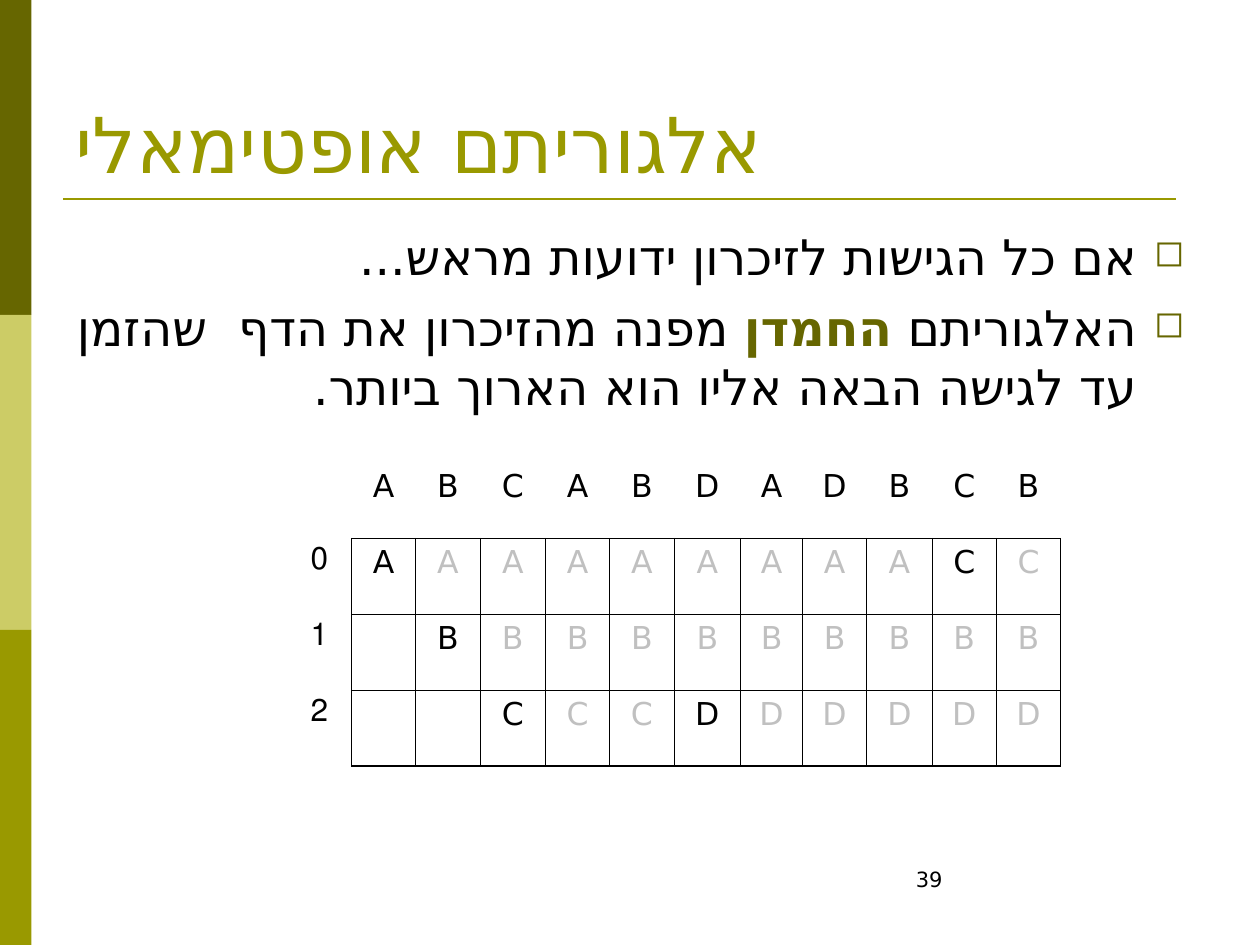
from dataclasses import dataclass

from lxml.etree import SubElement
from pptx import Presentation
from pptx.dml.color import RGBColor
from pptx.enum.shapes import MSO_CONNECTOR as Connector, MSO_SHAPE as Preset
from pptx.enum.text import MSO_ANCHOR as Anchor, PP_ALIGN as Align
from pptx.oxml.ns import qn
from pptx.util import Inches, Length, Pt

COLUMNS, ROWS = 40, 30
COLORS = {
    "dark": "666600",
    "light": "CCCC66",
    "olive": "999900",
    "black": "000000",
    "gray": "C0C0C0",
}
SANS, SERIF = "DejaVu Sans", "Times New Roman"
THIN, THICK = 0.45, 1.08
PLAIN_TABLE_STYLE = "{2D5ABB26-0587-4C30-8999-92F81FD0307C}"

REFERENCES = "ABCABDADBCB"
FRAMES = ["AAAAAAAAACC", " BBBBBBBBBB", "  CCCDDDDDD"]
COLUMN_SPANS = [2.04, 2.04, 2.04, 2.08, 2.04, 2.04, 2.12, 1.96, 2.04, 2.08, 2.04, 2.04]
ROW_SPAN = 2.41


@dataclass(frozen=True)
class Area:
    column: float
    row: float
    columns: float
    rows: float

    def box(self) -> tuple[Length, Length, Length, Length]:
        return grid(self.column), grid(self.row), grid(self.columns), grid(self.rows)


@dataclass(frozen=True)
class Span:
    text: str
    color: str = "black"
    bold: bool = False


@dataclass(frozen=True)
class Style:
    size: float
    font: str = SANS
    align: Align = Align.LEFT
    rtl: bool = True
    before: float = 0
    bullet: bool = False
    complex_font: str = ""


@dataclass(frozen=True)
class TextBlock:
    area: Area
    paragraphs: list[list[Span]]
    style: Style
    anchor: Anchor = Anchor.TOP


def grid(units: float) -> Length:
    return Inches(units * 10 / COLUMNS)


def rgb(name: str) -> RGBColor:
    return RGBColor.from_string(COLORS[name])


def add_bullet(properties) -> None:
    properties.set("marL", str(Inches(0.38)))
    properties.set("indent", str(-Inches(0.38)))
    color = SubElement(properties, qn("a:buClr"))
    SubElement(color, qn("a:srgbClr"), val=COLORS["dark"])
    SubElement(properties, qn("a:buSzPct"), val="75000")
    SubElement(properties, qn("a:buChar"), char="◻")


def write_paragraph(para, spans: list[Span], style: Style) -> None:
    para.alignment = style.align
    para.space_before = Pt(style.before)
    properties = para._p.get_or_add_pPr()
    properties.set("rtl", str(int(style.rtl)))
    if style.bullet:
        add_bullet(properties)
    for span in spans:
        run = para.add_run()
        run.text = span.text
        run.font.size = Pt(style.size)
        run.font.name = style.font
        run.font.bold = span.bold
        run.font.color.rgb = rgb(span.color)
        if style.complex_font:
            SubElement(run.font._element, qn("a:cs"), typeface=style.complex_font)


def add_text(page, block: TextBlock) -> None:
    frame = page.shapes.add_textbox(*block.area.box()).text_frame
    frame.word_wrap = True
    frame.vertical_anchor = block.anchor
    for index, spans in enumerate(block.paragraphs):
        para = frame.add_paragraph() if index else frame.paragraphs[0]
        write_paragraph(para, spans, block.style)


def add_bar(page, area: Area, color: str) -> None:
    bar = page.shapes.add_shape(Preset.RECTANGLE, *area.box())
    bar.shadow.inherit = False
    bar.fill.solid()
    bar.fill.fore_color.rgb = rgb(color)
    bar.line.fill.background()


def add_rule(page, start: float, end: float, row: float) -> None:
    rule = page.shapes.add_connector(
        Connector.STRAIGHT, grid(start), grid(row), grid(end), grid(row)
    )
    rule.line.color.rgb = rgb("olive")
    rule.line.width = Pt(1.5)
    SubElement(rule._element.spPr, qn("a:effectLst"))


def set_borders(cell, widths: dict[str, float]) -> None:
    properties = cell._tc.get_or_add_tcPr()
    for side in "LRTB":
        width = widths.get(side, 0)
        line = SubElement(properties, qn(f"a:ln{side}"), w=str(Pt(width)))
        if width:
            fill = SubElement(line, qn("a:solidFill"))
            SubElement(fill, qn("a:srgbClr"), val=COLORS["black"])
        else:
            SubElement(line, qn("a:noFill"))


def border_widths(row: int, column: int) -> dict[str, float]:
    if row == 0:
        return {"B": THIN} if column else {}
    if column == 0:
        return {"R": THIN}
    return {
        "L": THIN,
        "T": THIN,
        "R": THICK if column == len(REFERENCES) else THIN,
        "B": THICK if row == len(FRAMES) else THIN,
    }


def add_frame_table(page, column: float, row: float) -> None:
    lines = [" " + REFERENCES] + [f"{i}{frame}" for i, frame in enumerate(FRAMES)]
    area = Area(column, row, sum(COLUMN_SPANS), ROW_SPAN * len(lines))
    table = page.shapes.add_table(len(lines), len(COLUMN_SPANS), *area.box()).table
    table.first_row = table.horz_banding = False
    table._tbl.tblPr.find(qn("a:tableStyleId")).text = PLAIN_TABLE_STYLE
    for table_column, span in zip(table.columns, COLUMN_SPANS):
        table_column.width = grid(span)
    style = Style(18, align=Align.CENTER, before=4.5)
    for r, line in enumerate(lines):
        table.rows[r].height = grid(ROW_SPAN)
        for c, letter in enumerate(line):
            cell = table.cell(r, c)
            set_borders(cell, border_widths(r, c))
            cell.fill.background()
            kept = r > 0 and c > 1 and letter == line[c - 1]
            if letter.strip():
                span = Span(letter, "gray" if kept else "black")
                write_paragraph(cell.text_frame.paragraphs[0], [span], style)


TITLE = TextBlock(
    Area(2, 1.2, 36, 5),
    [[Span("אלגוריתם אופטימאלי", "olive")]],
    Style(44, SERIF, complex_font=SANS),
    Anchor.BOTTOM,
)
BODY = TextBlock(
    Area(2, 7, 36, 19.8),
    [
        [Span("אם כל הגישות לזיכרון ידועות מראש...")],
        [
            Span("האלגוריתם "),
            Span("החמדן", "dark", True),
            Span(" מפנה מהזיכרון את הדף  שהזמן עד לגישה הבאה אליו הוא הארוך ביותר."),
        ],
    ],
    Style(28, align=Align.RIGHT, before=7, bullet=True, complex_font=SANS),
)
PAGE_NUMBER = TextBlock(
    Area(28.68, 27.32, 9.32, 2), [[Span("39")]], Style(12, rtl=False)
)


def main() -> None:
    deck = Presentation()
    deck.slide_width, deck.slide_height = grid(COLUMNS), grid(ROWS)
    page = deck.slides.add_slide(deck.slide_layouts[6])
    bar_colors = ["dark", "light", "olive"]
    bar_rows = ROWS / len(bar_colors)
    for index, color in enumerate(bar_colors):
        add_bar(page, Area(0, index * bar_rows, 1, bar_rows), color)
    add_rule(page, 2, 37.32, 6.32)
    add_text(page, TITLE)
    add_text(page, BODY)
    add_frame_table(page, 9.12, 14.68)
    add_text(page, PAGE_NUMBER)
    deck.save("out.pptx")


if __name__ == "__main__":
    main()
